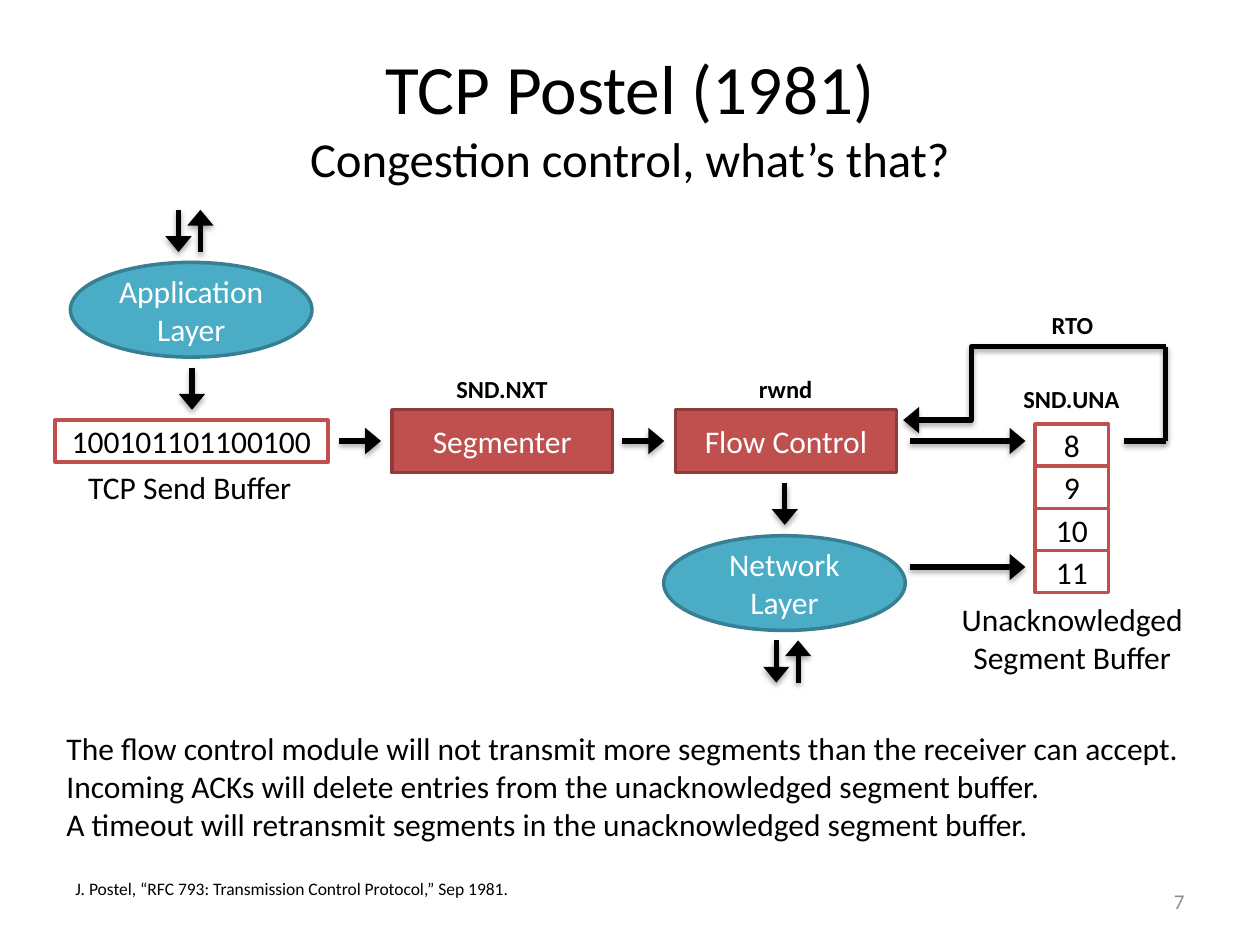
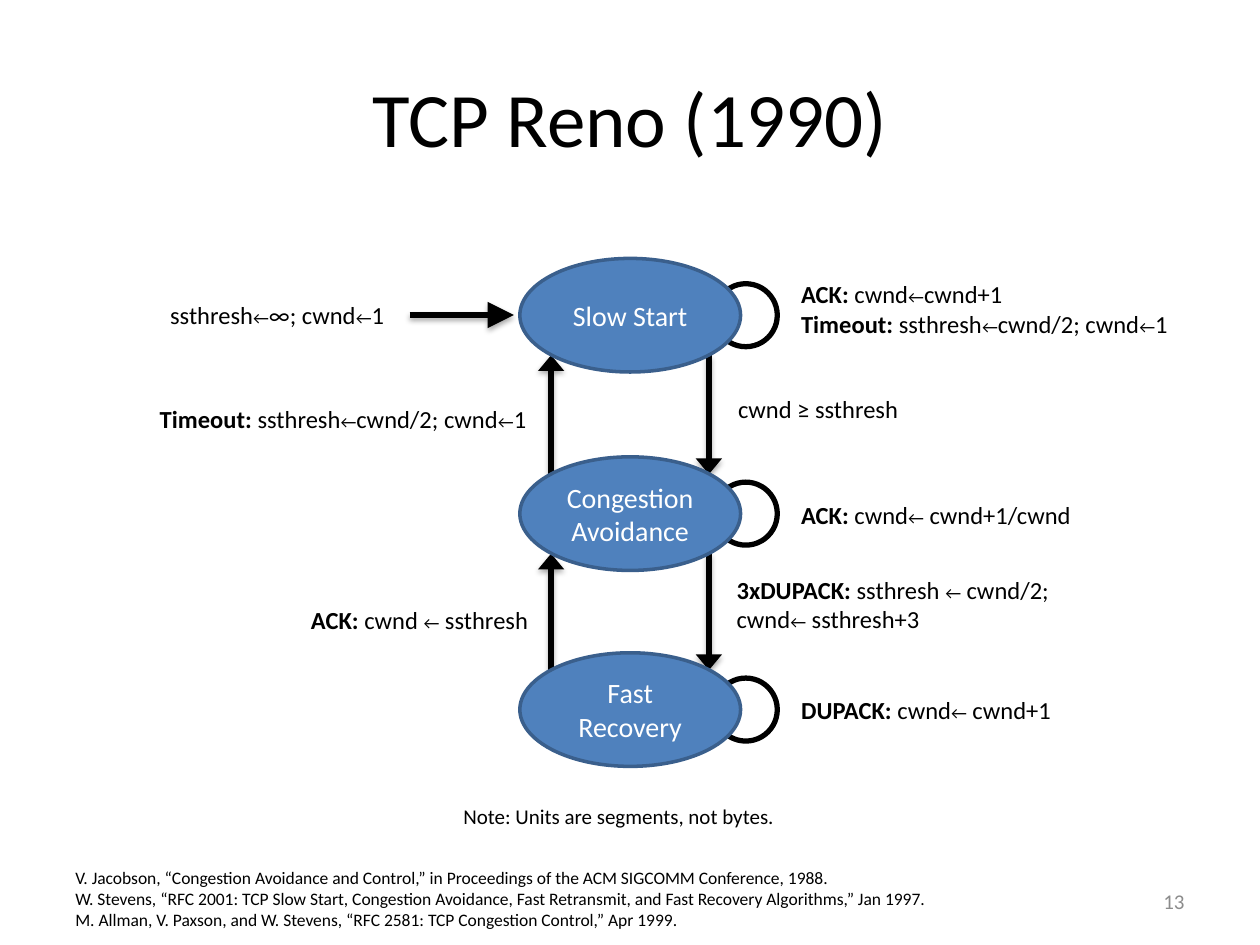
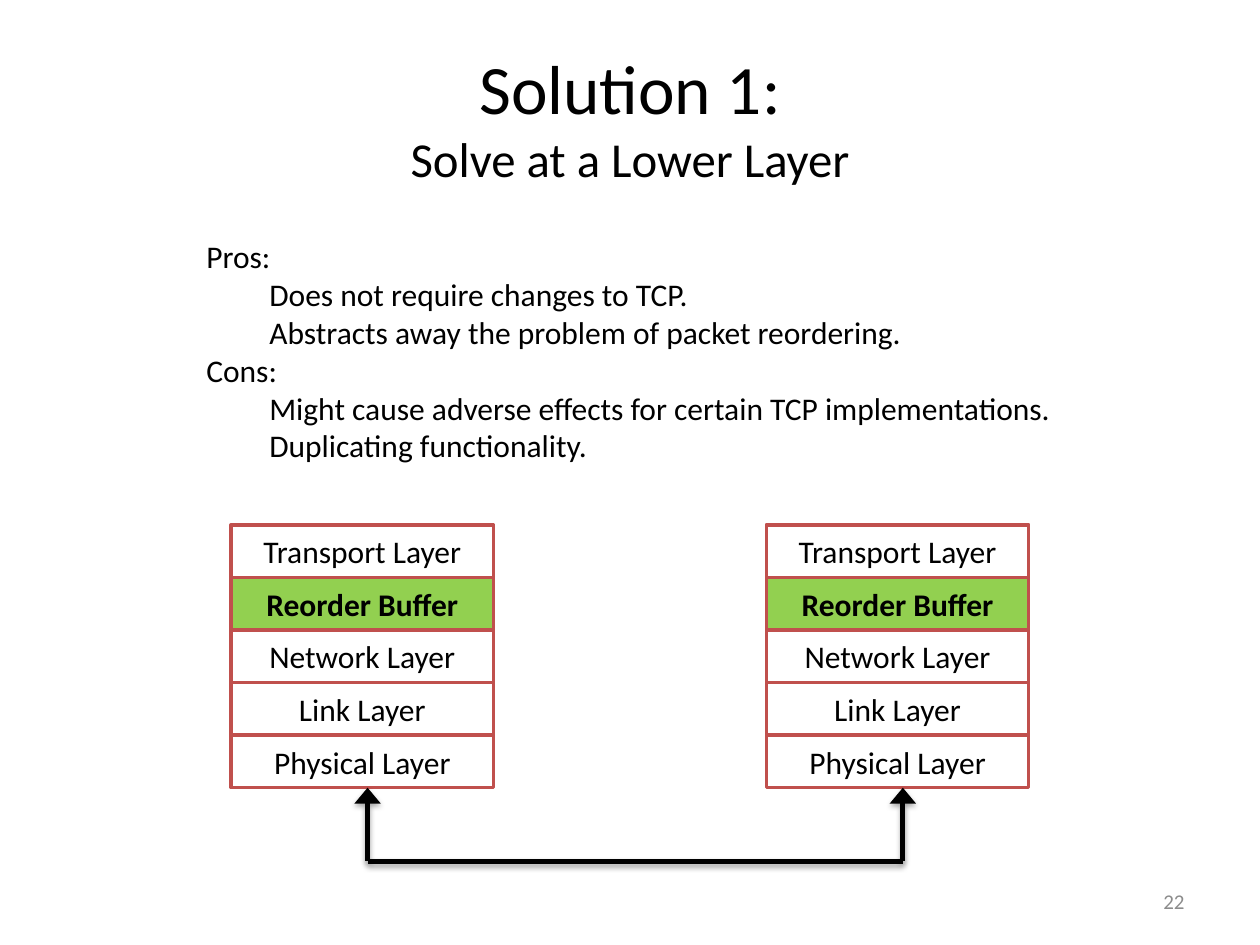
from dataclasses import dataclass

from lxml.etree import SubElement
from pptx import Presentation
from pptx.dml.color import RGBColor
from pptx.enum.shapes import MSO_CONNECTOR, MSO_SHAPE
from pptx.enum.text import MSO_ANCHOR, MSO_AUTO_SIZE, PP_ALIGN
from pptx.oxml.ns import qn
from pptx.util import Cm, Pt

COLORS = {
    "black": "000000",
    "white": "FFFFFF",
    "gray": "8C8C8C",
    "red": "C0504D",
    "dark red": "8E3B39",
    "teal": "4BACC6",
    "dark teal": "377F92",
    "blue": "4F81BD",
    "dark blue": "3A5F8C",
    "green": "92D050",
}
FONT = "Calibri"
ASSIGN = "←"
ASSIGN_SIZE = 10


@dataclass
class Line:
    text: str
    lead: str = ""
    indent: float = 0


def color(name):
    return RGBColor.from_string(COLORS[name])


class Deck:
    def __init__(self):
        self.presentation = Presentation()
        self.presentation.slide_width = Cm(25.4)
        self.presentation.slide_height = Cm(19.05)
        self.slide = None

    def new_slide(self, number, title, subtitle=None):
        layout = self.presentation.slide_layouts.get_by_name("Title Only")
        self.slide = self.presentation.slides.add_slide(layout)
        heading = self.slide.shapes.title
        heading.left, heading.top = Cm(1.27), Cm(0.76)
        heading.width, heading.height = Cm(22.86), Cm(3.18)
        frame = heading.text_frame
        frame.auto_size = MSO_AUTO_SIZE.NONE
        frame.vertical_anchor = MSO_ANCHOR.MIDDLE
        paragraph = frame.paragraphs[0]
        paragraph.alignment = PP_ALIGN.CENTER
        self.add_words(paragraph, title, 39.6 if subtitle else 44)
        if subtitle:
            paragraph.add_line_break()
            self.add_words(paragraph, subtitle, 27.9)
        self.text((18.2, 17.65, 5.93, 1.02), [Line(number)], 12, ink="gray",
                  align=PP_ALIGN.RIGHT, anchor=MSO_ANCHOR.MIDDLE, wrap=True)

    def add_words(self, paragraph, words, size, ink="black", bold=False):
        run = paragraph.add_run()
        run.text = words
        run.font.name = FONT
        run.font.size = Pt(size)
        run.font.bold = bold
        run.font.color.rgb = color(ink)

    def add_lines(self, frame, lines, size, ink, bold, align):
        for index, line in enumerate(lines):
            paragraph = frame.add_paragraph() if index else frame.paragraphs[0]
            paragraph.alignment = align
            if line.indent:
                properties = paragraph._p.get_or_add_pPr()
                properties.set("marL", str(Cm(line.indent)))
                properties.set("indent", "0")
            if line.lead:
                self.add_words(paragraph, line.lead, size, ink, True)
            for position, part in enumerate(line.text.split(ASSIGN)):
                if position:
                    self.add_words(paragraph, ASSIGN, ASSIGN_SIZE, ink, bold)
                self.add_words(paragraph, part, size, ink, bold)

    def text(self, box, lines, size=18, ink="black", bold=False,
             align=PP_ALIGN.LEFT, anchor=MSO_ANCHOR.TOP, wrap=False):
        frame = self.slide.shapes.add_textbox(*map(Cm, box)).text_frame
        frame.word_wrap = wrap
        frame.vertical_anchor = anchor
        self.add_lines(frame, lines, size, ink, bold, align)

    def label(self, words, center, top):
        self.text((center - 1.25, top, 2.5, 0.86), [Line(words)], 14,
                  bold=True, align=PP_ALIGN.CENTER)

    def references(self, top, *entries):
        self.text((1.27, top, 22.86, 0.43 * len(entries) + 0.26),
                  [Line(entry) for entry in entries], 10, wrap=True)

    def shape(self, preset, box, words=(), fill=None, line="black", ink="black",
              size=18, bold=False, weight=2):
        shape = self.slide.shapes.add_shape(preset, *map(Cm, box))
        shape.shadow.inherit = False
        if fill:
            shape.fill.solid()
            shape.fill.fore_color.rgb = color(fill)
        else:
            shape.fill.background()
        shape.line.color.rgb = color(line)
        shape.line.width = Pt(weight)
        shape.text_frame.vertical_anchor = MSO_ANCHOR.MIDDLE
        self.add_lines(shape.text_frame, [Line(word) for word in words], size,
                       ink, bold, PP_ALIGN.CENTER)

    def layer(self, left, top, *words):
        self.shape(MSO_SHAPE.OVAL, (left, top, 4.87, 1.91), words,
                   "teal", "dark teal", "white")

    def module(self, left, words):
        self.shape(MSO_SHAPE.RECTANGLE, (left, 8.26, 4.45, 1.27), [words],
                   "red", "dark red", "white")

    def stack(self, left, top, width, row_height, rows, highlight=None):
        for index, row in enumerate(rows):
            marked = row == highlight
            self.shape(MSO_SHAPE.RECTANGLE,
                       (left, top + index * row_height, width, row_height),
                       [row], "green" if marked else "white", "red", bold=marked)

    def connect(self, start, end, head=True, head_length="med", elbow=None):
        kind = MSO_CONNECTOR.ELBOW if elbow else MSO_CONNECTOR.STRAIGHT
        connector = self.slide.shapes.add_connector(kind, *map(Cm, start + end))
        connector.line.color.rgb = color("black")
        connector.line.width = Pt(3)
        properties = connector._element.spPr
        if elbow:
            guides = properties.find(qn("a:prstGeom")).get_or_add_avLst()
            SubElement(guides, qn("a:gd"), name="adj1", fmla=f"val {elbow}")
        if head:
            SubElement(properties.find(qn("a:ln")), qn("a:tailEnd"),
                       type="triangle", w="lg", len=head_length)
        effects = SubElement(properties, qn("a:effectLst"))
        shadow = SubElement(effects, qn("a:outerShdw"), blurRad="40000",
                            dist="23000", dir="5400000", rotWithShape="0")
        tint = SubElement(shadow, qn("a:srgbClr"), val=COLORS["black"])
        SubElement(tint, qn("a:alpha"), val="35000")

    def exchange(self, center, top):
        bottom = top + 0.85
        self.connect((center - 0.22, top), (center - 0.22, bottom))
        self.connect((center + 0.22, bottom), (center + 0.22, top))


def build_postel(deck):
    deck.new_slide("7", "TCP Postel (1981)", "Congestion control, what’s that?")
    deck.references(17.58, "J. Postel, “RFC 793: Transmission Control Protocol,” Sep 1981.")

    deck.exchange(3.82, 4.23)
    deck.layer(1.42, 5.29, "Application", "Layer")
    deck.connect((3.87, 7.41), (3.87, 8.26))
    deck.stack(1.11, 8.47, 5.5, 0.85, ["100101101100100"])
    deck.text((1.53, 9.32, 4.67, 1.02), [Line("TCP Send Buffer")])

    deck.module(7.9, "Segmenter")
    deck.module(13.62, "Flow Control")
    deck.layer(13.38, 10.8, "Network", "Layer")
    deck.exchange(15.87, 12.91)
    deck.stack(20.87, 8.55, 1.48, 0.85, ["8", "9", "10", "11"])
    deck.text((19.1, 11.97, 5.03, 1.8),
              [Line("Unacknowledged"), Line("Segment Buffer")],
              align=PP_ALIGN.CENTER)

    for left, right, y in [(6.84, 7.68, 8.89), (12.54, 13.39, 8.89),
                           (18.34, 20.67, 8.89), (18.34, 20.67, 11.43)]:
        deck.connect((left, y), (right, y))
    deck.connect((15.82, 9.74), (15.82, 10.58))
    deck.connect((22.66, 8.89), (23.5, 8.89), head=False)
    deck.connect((23.5, 8.89), (23.5, 6.99), head=False)
    deck.connect((23.5, 6.99), (18.21, 8.47), elbow=74000)

    for words, center, top in [("SND.NXT", 10.12, 7.41), ("rwnd", 15.84, 7.41),
                               ("SND.UNA", 21.6, 7.62), ("RTO", 21.62, 6.13)]:
        deck.label(words, center, top)
    deck.text((1.09, 14.58, 23.22, 2.57), [
        Line("The flow control module will not transmit more segments than the receiver can accept."),
        Line("Incoming ACKs will delete entries from the unacknowledged segment buffer."),
        Line("A timeout will retransmit segments in the unacknowledged segment buffer."),
    ])


def build_reno(deck):
    deck.new_slide("13", "TCP Reno (1990)")
    states = [("Slow Start", 5.21), ("Congestion Avoidance", 9.21),
              ("Fast Recovery", 13.16)]
    for _, top in states:
        deck.shape(MSO_SHAPE.OVAL, (14.4, top + 0.51, 1.27, 1.27), weight=3)
    for (_, upper), (_, lower) in zip(states, states[1:]):
        deck.connect((14.29, upper + 1.95), (14.29, lower + 0.35))
        deck.connect((11.11, lower + 0.35), (11.11, upper + 1.95))
    for state, top in states:
        deck.shape(MSO_SHAPE.OVAL, (10.48, top, 4.45, 2.29), [state],
                   "blue", "dark blue", "white", 16)
    deck.connect((8.26, 6.35), (10.36, 6.35), head_length="lg")

    timeout = Line("ssthresh←cwnd/2; cwnd←1", "Timeout: ")
    transitions = [
        (3.18, 5.92, 4.93, [Line("ssthresh←∞; cwnd←1")]),
        (15.9, 5.51, 8, [Line("cwnd←cwnd+1", "ACK: "), timeout]),
        (2.97, 8.03, 8, [timeout]),
        (14.63, 7.82, 3.84, [Line("cwnd ≥ ssthresh")]),
        (15.9, 9.96, 6.05, [Line("cwnd← cwnd+1/cwnd", "ACK: ")]),
        (14.6, 11.46, 6.88, [Line("ssthresh ← cwnd/2;", "3xDUPACK: "),
                             Line("cwnd← ssthresh+3")]),
        (6.02, 12.07, 4.95, [Line("cwnd ← ssthresh", "ACK: ")]),
        (15.9, 13.89, 5.61, [Line("cwnd← cwnd+1", "DUPACK: ")]),
    ]
    for left, top, width, lines in transitions:
        deck.text((left, top, width, 0.6 * len(lines) + 0.26), lines, 14)

    deck.text((9.09, 16.08, 6.93, 0.76),
              [Line("Note: Units are segments, not bytes.")], 12)
    deck.references(
        17.35,
        "V. Jacobson, “Congestion Avoidance and Control,” in Proceedings of the ACM SIGCOMM Conference, 1988.",
        "W. Stevens, “RFC 2001: TCP Slow Start, Congestion Avoidance, Fast Retransmit, and Fast Recovery Algorithms,” Jan 1997.",
        "M. Allman, V. Paxson, and W. Stevens, “RFC 2581: TCP Congestion Control,” Apr 1999.",
    )


def build_lower_layer(deck):
    deck.new_slide("22", "Solution 1:", "Solve at a Lower Layer")
    deck.text((3.91, 4.66, 17.73, 4.87), [
        Line("Pros:"),
        Line("Does not require changes to TCP.", indent=1.27),
        Line("Abstracts away the problem of packet reordering.", indent=1.27),
        Line("Cons:"),
        Line("Might cause adverse effects for certain TCP implementations.", indent=1.27),
        Line("Duplicating functionality.", indent=1.27),
    ])
    layers = ["Transport Layer", "Reorder Buffer", "Network Layer",
              "Link Layer", "Physical Layer"]
    for host_left, link_x in [(4.66, 7.41), (15.45, 18.2)]:
        deck.stack(host_left, 10.58, 5.29, 1.06, layers, "Reorder Buffer")
        deck.connect((link_x, 17.36), (link_x, 15.88))
    deck.connect((7.41, 17.36), (18.2, 17.36), head=False)


def main():
    deck = Deck()
    build_postel(deck)
    build_reno(deck)
    build_lower_layer(deck)
    deck.presentation.save("out.pptx")


if __name__ == "__main__":
    main()
